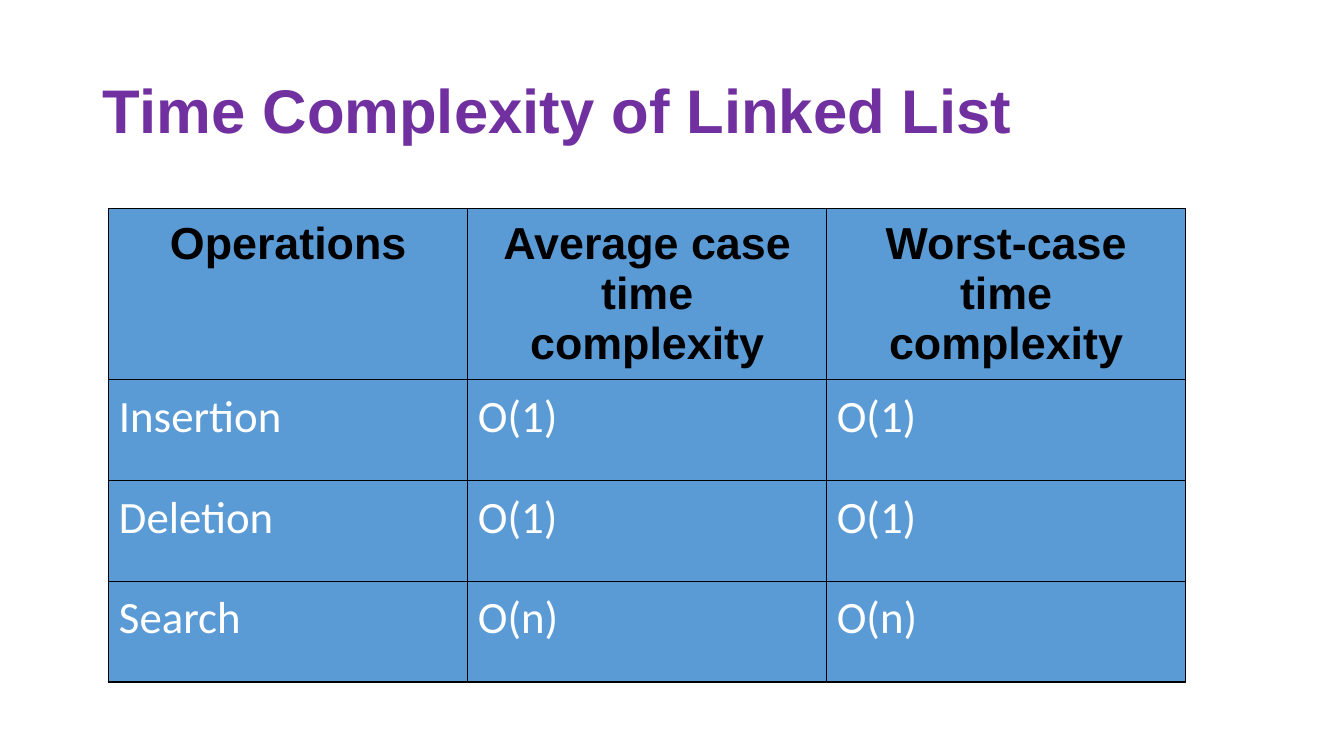
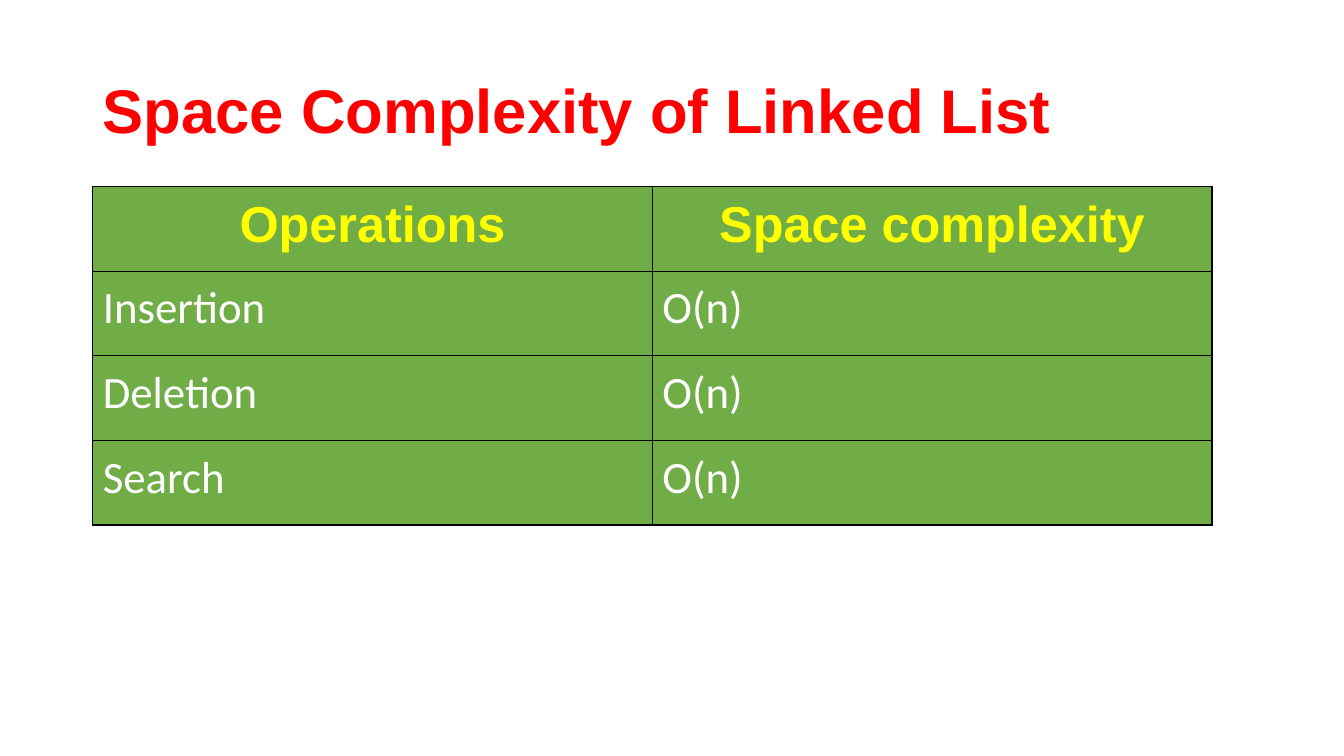
from dataclasses import dataclass

from lxml.etree import SubElement
from pptx import Presentation
from pptx.dml.color import RGBColor
from pptx.enum.text import MSO_ANCHOR, MSO_AUTO_SIZE, PP_ALIGN
from pptx.oxml.ns import qn
from pptx.presentation import Presentation as Deck
from pptx.slide import Slide
from pptx.table import _Cell as Cell
from pptx.text.text import _Paragraph as Paragraph
from pptx.util import Inches, Pt


@dataclass(frozen=True)
class Theme:
    heading_font: str = "Arial"
    body_font: str = "Calibri"
    title_size: int = 44
    body_size: int = 32
    purple: str = "7030A0"
    red: str = "FF0000"
    blue: str = "5B9BD5"
    green: str = "70AD47"
    yellow: str = "FFFF00"
    black: str = "000000"
    white: str = "FFFFFF"
    border_width: float = 1
    cell_margin: float = 0.1


THEME = Theme()


@dataclass(frozen=True)
class TextStyle:
    font: str
    size: int
    color: str
    bold: bool = False
    align: PP_ALIGN = PP_ALIGN.LEFT


@dataclass(frozen=True)
class ComplexityPage:
    title: str
    title_color: str
    left: float
    top: float
    column_width: float
    row_height: float
    fill: str
    header_color: str
    header_size: int
    rows: tuple[tuple[str, ...], ...]


PAGES = (
    ComplexityPage(
        title="Time Complexity of Linked List", title_color=THEME.purple,
        left=1.08, top=2.07, column_width=3.56, row_height=1,
        fill=THEME.blue, header_color=THEME.black, header_size=32,
        rows=(
            ("Operations", "Average case time complexity", "Worst-case time complexity"),
            ("Insertion", "O(1)", "O(1)"),
            ("Deletion", "O(1)", "O(1)"),
            ("Search", "O(n)", "O(n)"),
        ),
    ),
    ComplexityPage(
        title="Space Complexity of Linked List", title_color=THEME.red,
        left=0.92, top=1.85, column_width=5.55, row_height=0.84,
        fill=THEME.green, header_color=THEME.yellow, header_size=36,
        rows=(
            ("Operations", "Space complexity"),
            ("Insertion", "O(n)"),
            ("Deletion", "O(n)"),
            ("Search", "O(n)"),
        ),
    ),
)


def add_span(para: Paragraph, text: str, style: TextStyle) -> None:
    para.alignment = style.align
    span = para.add_run()
    span.text = text
    span.font.name = style.font
    span.font.size = Pt(style.size)
    span.font.bold = style.bold
    span.font.color.rgb = RGBColor.from_string(style.color)


def add_title(page: Slide, text: str, color: str) -> None:
    box = page.shapes.title
    box.left, box.top = Inches(0.92), Inches(0.4)
    box.width, box.height = Inches(11.5), Inches(1.45)
    frame = box.text_frame
    frame.word_wrap = True
    frame.auto_size = MSO_AUTO_SIZE.NONE
    frame.vertical_anchor = MSO_ANCHOR.MIDDLE
    para = frame.paragraphs[0]
    para.line_spacing = 0.9
    add_span(para, text, TextStyle(THEME.heading_font, THEME.title_size, color, bold=True))


def format_cell(cell: Cell, fill: str) -> None:
    margin = Inches(THEME.cell_margin)
    cell.margin_left = cell.margin_right = margin
    cell.margin_top = cell.margin_bottom = margin
    # Borders come before the fill in the cell properties
    properties = cell._tc.get_or_add_tcPr()
    for edge in ("a:lnL", "a:lnR", "a:lnT", "a:lnB"):
        line = SubElement(properties, qn(edge), w=str(Pt(THEME.border_width)))
        solid = SubElement(line, qn("a:solidFill"))
        SubElement(solid, qn("a:srgbClr"), val=THEME.black)
    cell.fill.solid()
    cell.fill.fore_color.rgb = RGBColor.from_string(fill)


def add_complexity_table(page: Slide, content: ComplexityPage) -> None:
    row_count, column_count = len(content.rows), len(content.rows[0])
    table = page.shapes.add_table(
        row_count, column_count, Inches(content.left), Inches(content.top),
        Inches(content.column_width * column_count), Inches(content.row_height * row_count),
    ).table
    table.horz_banding = False
    header = TextStyle(THEME.heading_font, content.header_size, content.header_color,
                       bold=True, align=PP_ALIGN.CENTER)
    body = TextStyle(THEME.body_font, THEME.body_size, THEME.white)
    for row_index, row in enumerate(content.rows):
        for column_index, text in enumerate(row):
            cell = table.cell(row_index, column_index)
            format_cell(cell, content.fill)
            add_span(cell.text_frame.paragraphs[0], text, body if row_index else header)


def add_page(deck: Deck, content: ComplexityPage) -> None:
    page = deck.slides.add_slide(deck.slide_layouts.get_by_name("Title Only"))
    add_title(page, content.title, content.title_color)
    add_complexity_table(page, content)


def main() -> None:
    deck = Presentation()
    deck.slide_width, deck.slide_height = Inches(13.33), Inches(7.5)
    for content in PAGES:
        add_page(deck, content)
    deck.save("out.pptx")


if __name__ == "__main__":
    main()
